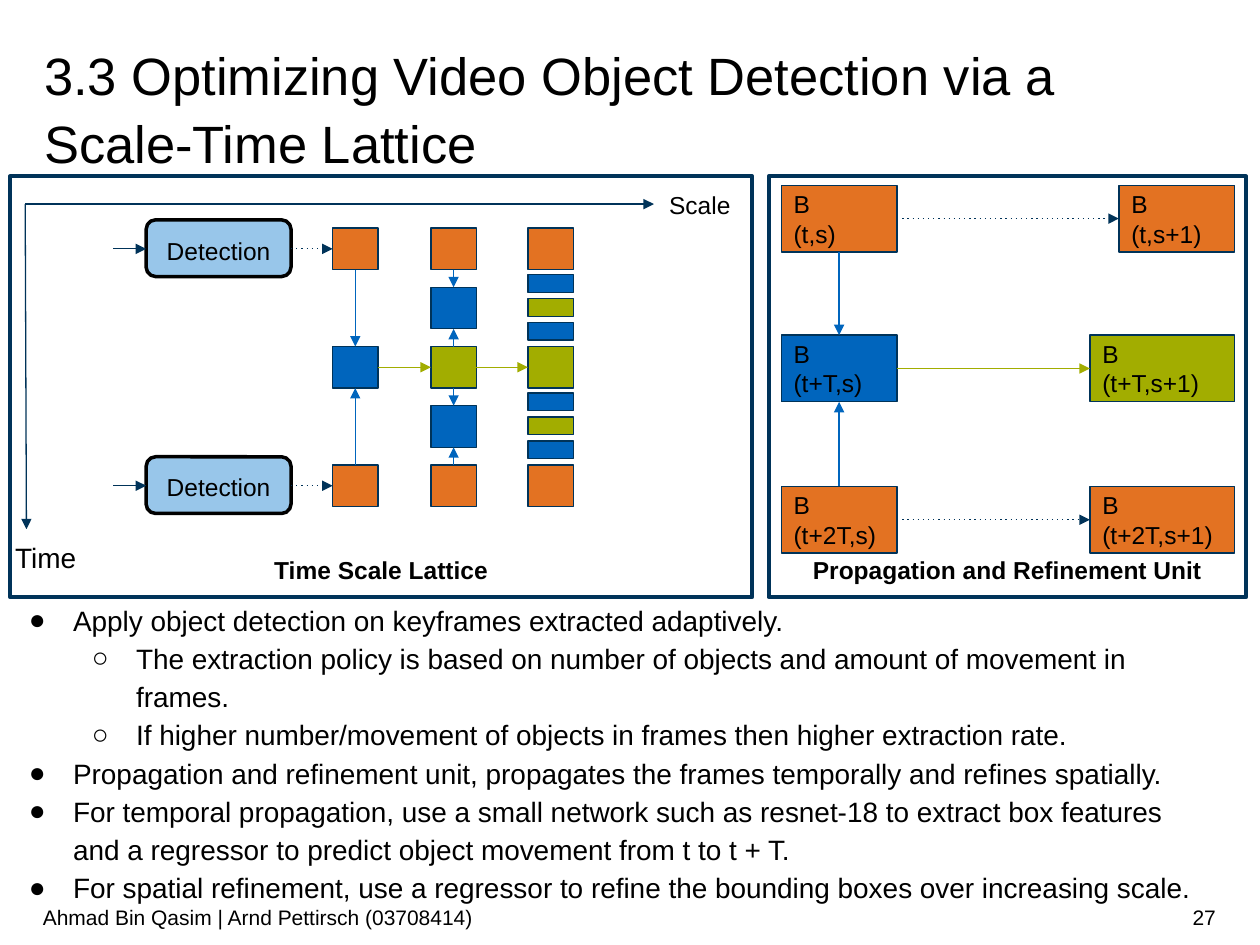
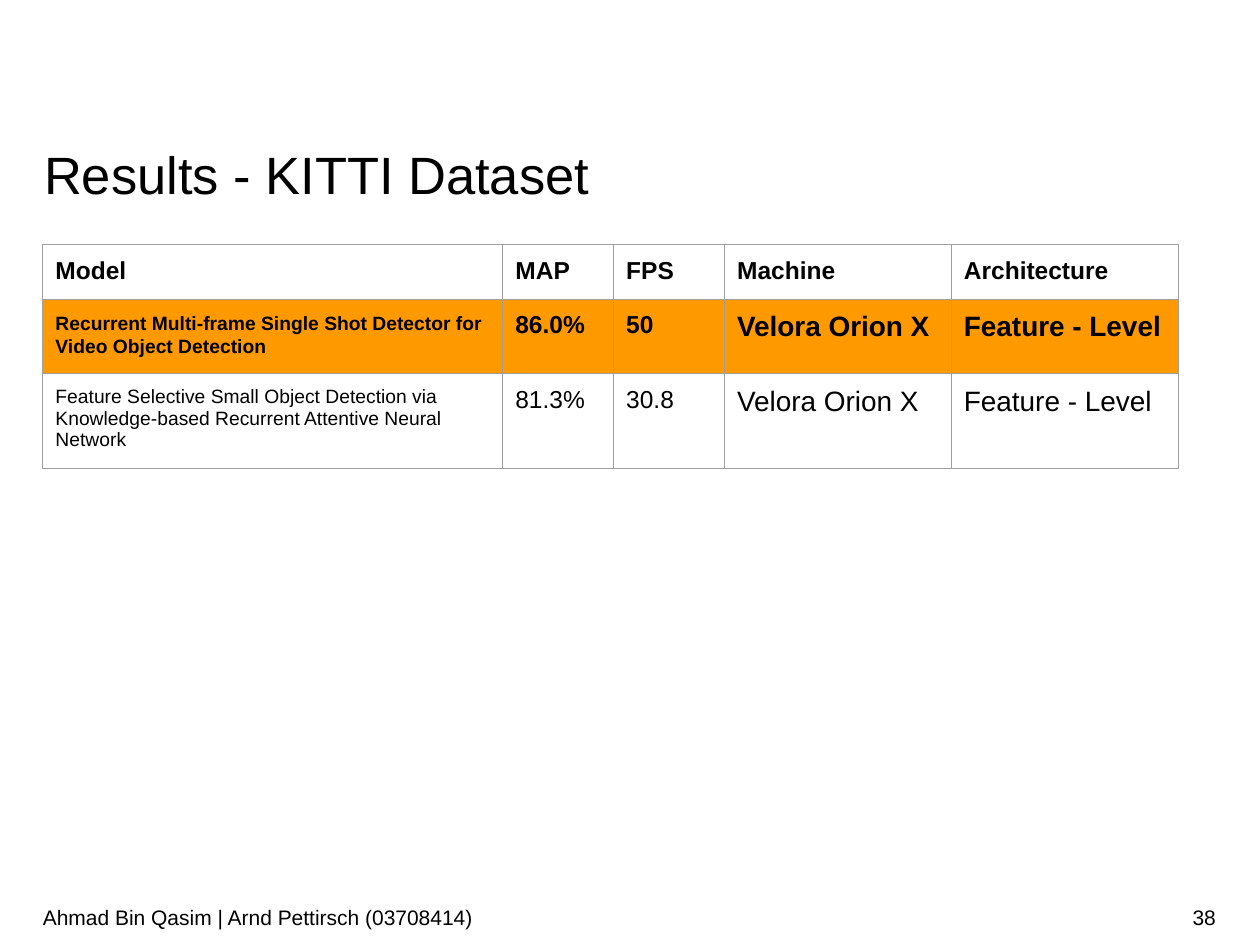
from dataclasses import dataclass
from typing import Any, NamedTuple, Optional

from lxml.etree import SubElement
from pptx import Presentation
from pptx.dml.color import RGBColor
from pptx.enum.shapes import MSO_CONNECTOR, MSO_SHAPE
from pptx.enum.text import MSO_ANCHOR, PP_ALIGN
from pptx.oxml.ns import qn
from pptx.util import Inches, Pt


@dataclass(frozen=True)
class Theme:
    """Colours, font and type sizes shared by all slides."""
    font: str = "Arial"
    ink: str = "000000"
    paper: str = "FFFFFF"
    navy: str = "003359"
    blue: str = "0065BD"
    sky: str = "98C6EA"
    green: str = "A2AD00"
    orange: str = "E37222"
    amber: str = "FF9900"
    grid: str = "9E9E9E"
    title: int = 30
    body: int = 16
    label: int = 14
    foot: int = 12
    small: int = 11
    thin: float = 0.75
    edge: float = 2
    frame: float = 2.25


T = Theme()
LEFT, MID, RIGHT = PP_ALIGN.LEFT, PP_ALIGN.CENTER, PP_ALIGN.RIGHT
TOP, CENTRE, BASE = MSO_ANCHOR.TOP, MSO_ANCHOR.MIDDLE, MSO_ANCHOR.BOTTOM
BODY_GAP = 1.14
TITLE_GAP = 1.07


class Box(NamedTuple):
    """Place and size in inches."""
    x: float
    y: float
    w: float
    h: float

    @property
    def cx(self) -> float:
        """Middle across."""
        return self.x + self.w / 2

    @property
    def cy(self) -> float:
        """Middle down."""
        return self.y + self.h / 2

    @property
    def right(self) -> float:
        """Right edge."""
        return self.x + self.w

    @property
    def base(self) -> float:
        """Bottom edge."""
        return self.y + self.h


class Point(NamedTuple):
    """One bullet point and its level."""
    text: str
    level: int = 0


class Unit(NamedTuple):
    """A labelled block of the refinement unit."""
    box: Box
    text: str
    fill: str


class Row(NamedTuple):
    """One table row with its format."""
    cells: tuple[str, ...]
    sizes: tuple[int, ...]
    height: float
    bold: bool = False
    fill: Optional[str] = None
    gap: Optional[float] = None


def tint(hue: str) -> RGBColor:
    """Turn a hex string into a colour."""
    return RGBColor.from_string(hue)


def write(frame: Any, text: str, *, size: float = T.label, bold: bool = False,
          align: Any = LEFT, anchor: Any = TOP, gap: Optional[float] = None,
          pad: tuple[float, float] = (0, 0)) -> None:
    """Fill a text frame, one paragraph per line of text."""
    frame.word_wrap = True
    frame.vertical_anchor = anchor
    frame.margin_left = frame.margin_right = Inches(pad[0])
    frame.margin_top = frame.margin_bottom = Inches(pad[1])
    frame.text = text
    for para in frame.paragraphs:
        para.alignment = align
        if gap:
            para.line_spacing = gap
        for run in para.runs:
            font = run.font
            font.name, font.size, font.bold = T.font, Pt(size), bold
            font.color.rgb = tint(T.ink)


def label(slide: Any, box: Box, text: str, **style: Any) -> Any:
    """Add a text box and return its frame."""
    frame = slide.shapes.add_textbox(*map(Inches, box)).text_frame
    write(frame, text, **style)
    return frame


def block(slide: Any, box: Box, text: str = "", *, fill: Optional[str] = None,
          line: Optional[str] = T.navy, width: float = T.thin,
          curved: bool = False, **style: Any) -> None:
    """Add a square or rounded rectangle, with text if given."""
    kind = MSO_SHAPE.ROUNDED_RECTANGLE if curved else MSO_SHAPE.RECTANGLE
    shape = slide.shapes.add_shape(kind, *map(Inches, box))
    shape.shadow.inherit = False
    if fill:
        shape.fill.solid()
        shape.fill.fore_color.rgb = tint(fill)
    else:
        shape.fill.background()
    if line:
        shape.line.color.rgb = tint(line)
        shape.line.width = Pt(width)
    else:
        shape.line.fill.background()
    if text:
        write(shape.text_frame, text, **style)


def arrow(slide: Any, x1: float, y1: float, x2: float, y2: float,
          hue: str = T.navy, dotted: bool = False) -> None:
    """Draw a straight arrow between two points."""
    link = slide.shapes.add_connector(
        MSO_CONNECTOR.STRAIGHT, *map(Inches, (x1, y1, x2, y2)))
    link.line.color.rgb = tint(hue)
    link.line.width = Pt(T.thin)
    props = link.element.spPr
    line = props.find(qn("a:ln"))
    if dotted:
        SubElement(line, qn("a:prstDash"), val="dot")
    SubElement(line, qn("a:tailEnd"), type="triangle")
    SubElement(props, qn("a:effectLst"))


def bullets(slide: Any, box: Box, points: tuple[Point, ...]) -> None:
    """Add a two-level bullet list."""
    frame = label(slide, box, "\n".join(p.text for p in points),
                  size=T.body, gap=BODY_GAP)
    for para, point in zip(frame.paragraphs, points):
        para.level = point.level
        props = para._p.get_or_add_pPr()
        props.set("marL", str(Inches(0.5 * (point.level + 1))))
        props.set("indent", str(Inches(-0.35)))
        SubElement(SubElement(props, qn("a:buClr")), qn("a:srgbClr"), val=T.ink)
        SubElement(props, qn("a:buFont"), typeface=T.font)
        SubElement(props, qn("a:buChar"), char="●○"[point.level])


def start(deck: Any, title: str, top: float, page: int) -> Any:
    """Add a slide with its title and footer."""
    slide = deck.slides.add_slide(deck.slide_layouts[6])
    label(slide, Box(0.35, top, 9.31, 0.45), title, size=T.title, gap=TITLE_GAP)
    foot = {"size": T.foot, "anchor": CENTRE, "pad": (0, 0.05)}
    label(slide, Box(0.34, 7.08, 7.07, 0.4),
          "Ahmad Bin Qasim | Arnd Pettirsch (03708414)", **foot)
    label(slide, Box(7.41, 7.08, 2.24, 0.4), str(page), align=RIGHT, **foot)
    return slide


def lattice(slide: Any) -> None:
    """Draw the time and scale axes and the grid of frames."""
    pad = (0.1, 0.1)
    arrow(slide, 0.2, 1.62, 0.21, 4.2)
    arrow(slide, 0.2, 1.62, 5.19, 1.62)
    for x, y, text, size in ((0, 4.2, "Time", T.body), (5.19, 1.4, "Scale", T.label)):
        block(slide, Box(x, y, 0.92, 0.45), text, fill=T.paper, line=None,
              curved=True, size=size, anchor=CENTRE, pad=pad)

    cols = [Box(x, 1.81, 0.36, 0.33) for x in (2.64, 3.42, 4.19)]
    step = 0.47
    grid = [[c._replace(y=c.y + step * i) for i in range(5)] for c in cols]
    first, second, third = grid
    for col in grid:
        for i in (0, 4):
            block(slide, col[i], fill=T.orange)
    for box, hue in ((first[2], T.blue), (second[1], T.blue), (second[3], T.blue),
                     (second[2], T.green), (third[2], T.green)):
        block(slide, box, fill=hue)
    for top in (2.18, 3.12):
        for i, hue in enumerate((T.blue, T.green, T.blue)):
            block(slide, Box(third[0].x, top + 0.19 * i, 0.36, 0.14), fill=hue)

    for end in (first[0], first[4]):
        box = Box(1.16, end.cy - 0.23, 1.15, 0.45)
        block(slide, box, "Detection", fill=T.sky, line=T.ink, width=T.edge,
              curved=True, align=MID, anchor=CENTRE, gap=BODY_GAP, pad=(0.1, 0.05))
        arrow(slide, 0.9, end.cy, box.x, end.cy)
        arrow(slide, box.right, end.cy, end.x, end.cy, dotted=True)
    meet(slide, first[0], first[2], first[4])
    meet(slide, second[0], second[1], second[2])
    meet(slide, second[2], second[3], second[4])
    for a, b in ((first[2], second[2]), (second[2], third[2])):
        arrow(slide, a.right, a.cy, b.x, b.cy, T.green)


def meet(slide: Any, upper: Box, goal: Box, lower: Box) -> None:
    """Point from the boxes above and below to the one between."""
    arrow(slide, goal.cx, upper.base, goal.cx, goal.y, T.blue)
    arrow(slide, goal.cx, lower.y, goal.cx, goal.base, T.blue)


def refine(slide: Any) -> None:
    """Draw the propagation and refinement unit."""
    tops, edge = (1.47, 2.66, 3.86), 9.8
    left = [Box(6.2, y, 0.92, 0.53) for y in tops]
    right = [Box(edge - w, y, w, 0.53) for w, y in zip((0.92, 1.15, 1.15), tops)]
    units = (
        Unit(left[0], "B\n(t,s)", T.orange),
        Unit(left[1], "B (t+T,s)", T.blue),
        Unit(left[2], "B\n(t+2T,s)", T.orange),
        Unit(right[0], "B\n(t,s+1)", T.orange),
        Unit(right[1], "B (t+T,s+1)", T.green),
        Unit(right[2], "B\n(t+2T,s+1)", T.orange),
    )
    for unit in units:
        block(slide, unit.box, unit.text, fill=unit.fill, anchor=CENTRE, pad=(0.1, 0.1))
    meet(slide, *left)
    for i, (a, b) in enumerate(zip(left, right)):
        mid = i == 1
        arrow(slide, a.right, a.cy, b.x, b.cy, T.green if mid else T.navy, not mid)


def table(slide: Any, x: float, y: float, widths: tuple[float, ...],
          rows: tuple[Row, ...]) -> None:
    """Add a table with thin grey borders."""
    size = Box(x, y, sum(widths), sum(r.height for r in rows))
    grid = slide.shapes.add_table(len(rows), len(widths), *map(Inches, size)).table
    grid.first_row = grid.horz_banding = False
    for col, width in zip(grid.columns, widths):
        col.width = Inches(width)
    for i, row in enumerate(rows):
        grid.rows[i].height = Inches(row.height)
        for j, text in enumerate(row.cells):
            cell = grid.cell(i, j)
            write(cell.text_frame, text, size=row.sizes[j], bold=row.bold,
                  gap=row.gap if j == 0 else None)
            cell.margin_left = cell.margin_right = Inches(0.1)
            cell.margin_top = cell.margin_bottom = Inches(0.1)
            cell.vertical_anchor = TOP
            props = cell._tc.get_or_add_tcPr()
            for side in ("lnL", "lnR", "lnT", "lnB"):
                line = SubElement(props, qn("a:" + side), w=str(Pt(T.thin)))
                fill = SubElement(line, qn("a:solidFill"))
                SubElement(fill, qn("a:srgbClr"), val=T.grid)
            if row.fill:
                cell.fill.solid()
                cell.fill.fore_color.rgb = tint(row.fill)
            else:
                cell.fill.background()


deck = Presentation()
deck.slide_width, deck.slide_height = Inches(10), Inches(7.5)

slide = start(deck, "3.3 Optimizing Video Object Detection via a Scale-Time Lattice", 0.31, 27)
bullets(slide, Box(0.08, 4.75, 9.58, 2.32), (
    Point("Apply object detection on keyframes extracted adaptively."),
    Point("The extraction policy is based on number of objects and amount of movement in frames.", 1),
    Point("If higher number/movement of objects in frames then higher extraction rate.", 1),
    Point("Propagation and refinement unit, propagates the frames temporally and refines spatially."),
    Point("For temporal propagation, use a small network such as resnet-18 to extract box features "
          "and a regressor to predict object movement from t to t + T."),
    Point("For spatial refinement, use a regressor to refine the bounding boxes over increasing scale."),
))
lattice(slide)
for x, w, text in ((0.08, 5.89, "Time Scale Lattice"),
                   (6.1, 3.79, "Propagation and Refinement Unit")):
    block(slide, Box(x, 1.4, w, 3.34), text, width=T.frame, bold=True,
          align=MID, anchor=BASE, pad=(0.1, 0.1))
refine(slide)

slide = start(deck, "Results - KITTI Dataset", 1.09, 38)
sizes = (T.small, T.label, T.label, T.body, T.body)
table(slide, 0.34, 1.94, (3.65, 0.88, 0.88, 1.8, 1.8), (
    Row(("Model", "MAP", "FPS", "Machine", "Architecture"), (T.label,) * 5, 0.42, bold=True),
    Row(("Recurrent Multi-frame Single Shot Detector for Video Object Detection",
         "86.0%", "50", "Velora Orion X", "Feature - Level"),
        sizes, 0.56, bold=True, fill=T.amber, gap=TITLE_GAP),
    Row(("Feature Selective Small Object Detection via Knowledge-based Recurrent "
         "Attentive Neural Network", "81.3%", "30.8", "Velora Orion X", "Feature - Level"),
        sizes, 0.71),
))
deck.save("out.pptx")
